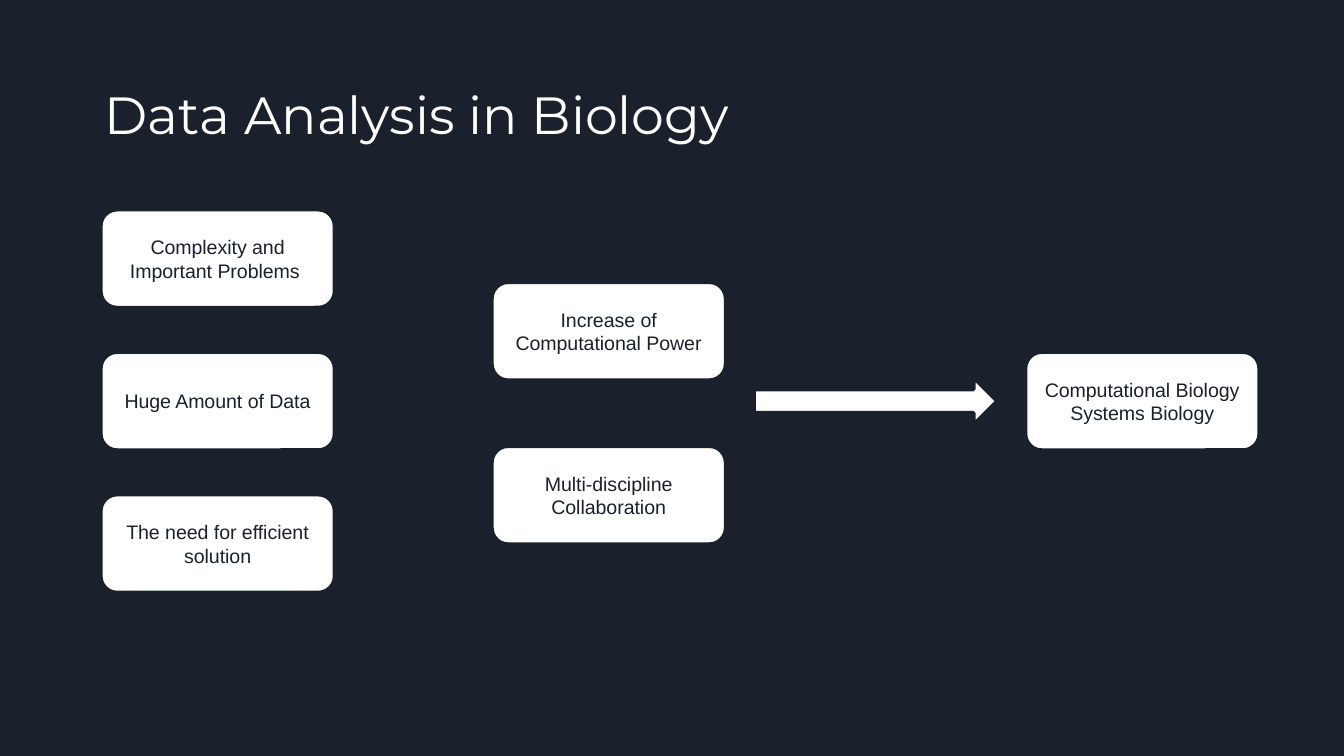
from dataclasses import dataclass

from pptx import Presentation
from pptx.dml.color import RGBColor
from pptx.enum import shapes, text
from pptx.util import Inches, Pt

COLORS = {"dark": "1B212C", "light": "FFFFFF"}
WIDTH = 10
BOX_W, BOX_H = 1.74, 0.73


@dataclass
class Column:
    left: float
    top: float
    step: float
    labels: list[str]


COLUMNS = [
    Column(0.75, 1.56, 1.06, [
        "Complexity and Important Problems ",
        "Huge Amount of Data",
        "The need for efficient solution",
    ]),
    Column(3.66, 2.1, 1.22, [
        "Increase of Computational Power",
        "Multi-discipline Collaboration",
    ]),
    Column(7.63, 2.62, 0, ["Computational Biology\nSystems Biology"]),
]


def color(name: str) -> RGBColor:
    return RGBColor.from_string(COLORS[name])


def style(font, name: str, size: float, tone: str) -> None:
    for key, value in {"name": name, "size": Pt(size), "bold": False}.items():
        setattr(font, key, value)
    font.color.rgb = color(tone)


def add_shape(slide, kind, left: float, top: float, width: float, height: float):
    """Add a light shape outlined in the background colour."""
    shape = slide.shapes.add_shape(
        kind, Inches(left), Inches(top), Inches(width), Inches(height))
    shape.shadow.inherit = False
    shape.fill.solid()
    shape.fill.fore_color.rgb = color("light")
    shape.line.color.rgb = color("dark")
    shape.line.width = Pt(2)
    return shape


def add_box(slide, left: float, top: float, label: str) -> None:
    box = add_shape(slide, shapes.MSO_SHAPE.ROUNDED_RECTANGLE,
                    left, top, BOX_W, BOX_H)
    frame = box.text_frame
    frame.text = label
    frame.word_wrap = True
    frame.vertical_anchor = text.MSO_ANCHOR.MIDDLE
    for para in frame.paragraphs:
        para.alignment = text.PP_ALIGN.CENTER
        for run in para.runs:
            style(run.font, "Arial", 10.5, "dark")


def add_title(slide, label: str) -> None:
    title = slide.shapes.title
    place = {"left": 0.68, "top": 0.51, "width": 8.76, "height": 1.05}
    for key, value in place.items():
        setattr(title, key, Inches(value))
    frame = title.text_frame
    frame.text = label
    frame.word_wrap = True
    frame.auto_size = text.MSO_AUTO_SIZE.NONE
    frame.vertical_anchor = text.MSO_ANCHOR.TOP
    for side in ("left", "right", "top", "bottom"):
        setattr(frame, f"margin_{side}", Inches(0.1))
    para = frame.paragraphs[0]
    para.alignment = text.PP_ALIGN.LEFT
    style(para.runs[0].font, "Montserrat", 28, "light")


def main() -> None:
    deck = Presentation()
    deck.slide_width = Inches(WIDTH)
    deck.slide_height = Inches(WIDTH * 9 / 16)
    slide = deck.slides.add_slide(deck.slide_layouts[5])
    slide.background.fill.solid()
    slide.background.fill.fore_color.rgb = color("dark")

    add_title(slide, "Data Analysis in Biology")
    for col in COLUMNS:
        for row, label in enumerate(col.labels):
            add_box(slide, col.left, col.top + row * col.step, label)
    add_shape(slide, shapes.MSO_SHAPE.RIGHT_ARROW, 5.61, 2.81, 1.81, 0.35)

    deck.save("out.pptx")


if __name__ == "__main__":
    main()
